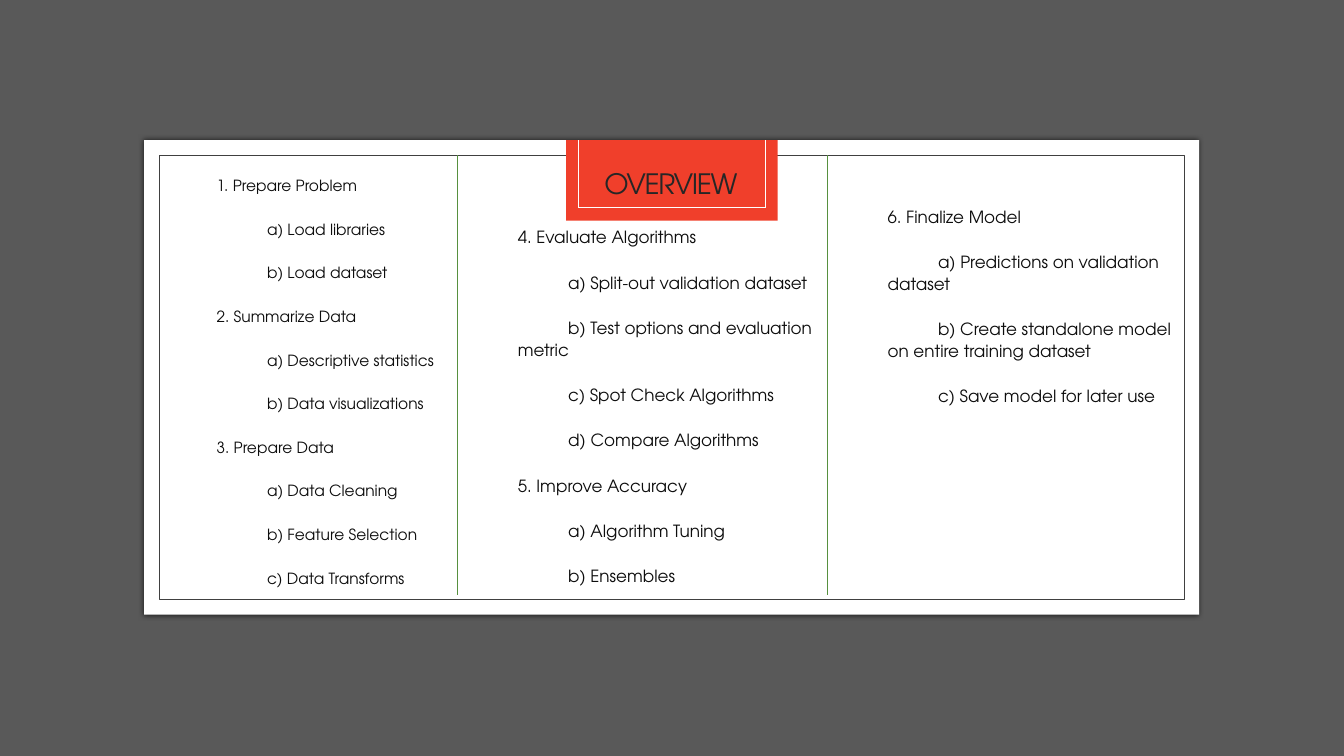
from lxml.etree import SubElement
from pptx import Presentation
from pptx.dml.color import RGBColor
from pptx.enum.shapes import MSO_CONNECTOR, MSO_SHAPE
from pptx.enum.text import MSO_ANCHOR, PP_ALIGN
from pptx.oxml.ns import qn
from pptx.util import Cm, Pt

FONT = "TeX Gyre Adventor"
SLIDE_WIDTH, SLIDE_HEIGHT = 33.87, 19.05
PANEL_TOP, FRAME_TOP, COLUMN_BOTTOM = 3.53, 3.91, 14.99
DIVIDERS = (11.53, 20.85)
TAB_LEFT, TAB_RIGHT, TAB_BOTTOM = 14.58, 19.28, 5.23
INDENT = 1.27

PREPARATION = [
    ("1. Prepare Problem", ["a) Load libraries", "b) Load dataset"]),
    ("2. Summarize Data", ["a) Descriptive statistics", "b) Data visualizations"]),
    ("3. Prepare Data", ["a) Data Cleaning", "b) Feature Selection",
                         "c) Data Transforms"]),
]
MODELLING = [
    ("4. Evaluate Algorithms", ["a) Split-out validation dataset",
                                "b) Test options and evaluation metric",
                                "c) Spot Check Algorithms",
                                "d) Compare Algorithms"]),
    ("5. Improve Accuracy", ["a) Algorithm Tuning", "b) Ensembles"]),
]
DELIVERY = [
    ("6. Finalize Model", ["a) Predictions on validation dataset",
                           "b) Create standalone model on entire training dataset",
                           "c) Save model for later use"]),
]


def color(hex_value):
    return RGBColor.from_string(hex_value)


def add_box(slide, left, top, width, height, fill=None, line=None):
    box = slide.shapes.add_shape(MSO_SHAPE.RECTANGLE, Cm(left), Cm(top), Cm(width), Cm(height))
    box.shadow.inherit = False
    if fill:
        box.fill.solid()
        box.fill.fore_color.rgb = color(fill)
    else:
        box.fill.background()
    if line:
        box.line.color.rgb = color(line)
        box.line.width = Pt(0.5)
    else:
        box.line.fill.background()
    return box


def add_glow_shadow(box):
    effects = box._element.spPr.find(qn("a:effectLst"))
    shadow = SubElement(effects, qn("a:outerShdw"), blurRad=str(Pt(4)), dist="0",
                        algn="ctr", rotWithShape="0")
    tint = SubElement(shadow, qn("a:srgbClr"), val="000000")
    SubElement(tint, qn("a:alpha"), val="66000")


def add_rule(slide, x1, y1, x2, y2, line):
    rule = slide.shapes.add_connector(MSO_CONNECTOR.STRAIGHT, Cm(x1), Cm(y1), Cm(x2), Cm(y2))
    rule.line.color.rgb = color(line)
    rule.line.width = Pt(0.5)
    SubElement(rule._element.spPr, qn("a:effectLst"))


def add_text_frame(slide, left, top, width, height):
    frame = slide.shapes.add_textbox(Cm(left), Cm(top), Cm(width), Cm(height)).text_frame
    frame.word_wrap = True
    return frame


def format_font(paragraph, size, ink):
    for run in paragraph.runs:
        run.font.name = FONT
        run.font.size = Pt(size)
        run.font.color.rgb = color(ink)


def add_title(slide, wording):
    frame = add_text_frame(slide, 4.5, 4.06, 24.82, 1.27)
    frame.vertical_anchor = MSO_ANCHOR.MIDDLE
    frame.text = wording
    title = frame.paragraphs[0]
    title.alignment = PP_ALIGN.CENTER
    title.line_spacing = 0.83
    format_font(title, 20, "262626")
    title.runs[0].font._element.set("spc", "-100")


def add_outline(slide, left, top, width, height, sections, size):
    frame = add_text_frame(slide, left, top, width, height)
    entries = []
    for heading, steps in sections:
        entries.append((heading, 0))
        entries += [(step, INDENT) for step in steps]
    frame.text = "\n".join(wording for wording, _ in entries)
    for paragraph, (_, first_line) in zip(frame.paragraphs, entries):
        paragraph.line_spacing = 1.07
        paragraph.space_before = Pt(9)
        paragraph.space_after = Pt(8)
        properties = paragraph._p.get_or_add_pPr()
        properties.set("marL", str(Cm(INDENT)))
        properties.set("indent", str(Cm(first_line)))
        format_font(paragraph, size, "0D0D0D")


def main():
    deck = Presentation()
    deck.slide_width, deck.slide_height = Cm(SLIDE_WIDTH), Cm(SLIDE_HEIGHT)
    slide = deck.slides.add_slide(deck.slide_layouts[6])

    add_box(slide, 0, 0, SLIDE_WIDTH, SLIDE_HEIGHT, fill="595959")
    panel = add_box(slide, 3.63, PANEL_TOP, 26.59, 11.96, fill="FFFFFF")
    add_glow_shadow(panel)
    add_box(slide, 4.01, FRAME_TOP, 25.83, 11.2, line="404040")

    add_box(slide, 14.27, PANEL_TOP, 5.33, 2.03, fill="F03F2B")
    for side in (TAB_LEFT, TAB_RIGHT):
        add_rule(slide, side, PANEL_TOP, side, TAB_BOTTOM, "FFFFFF")
    add_rule(slide, TAB_LEFT, TAB_BOTTOM, TAB_RIGHT, TAB_BOTTOM, "FFFFFF")
    add_title(slide, "OVERVIEW")

    add_outline(slide, 3.94, 4.29, 7.57, 10.69, PREPARATION, 11)
    add_outline(slide, DIVIDERS[0], 5.56, 9.35, 9.42, MODELLING, 12)
    add_outline(slide, DIVIDERS[1], 5.05, 9.07, 10.08, DELIVERY, 12)
    for divider in DIVIDERS:
        add_rule(slide, divider, FRAME_TOP, divider, COLUMN_BOTTOM, "57903F")

    deck.save("out.pptx")


if __name__ == "__main__":
    main()
